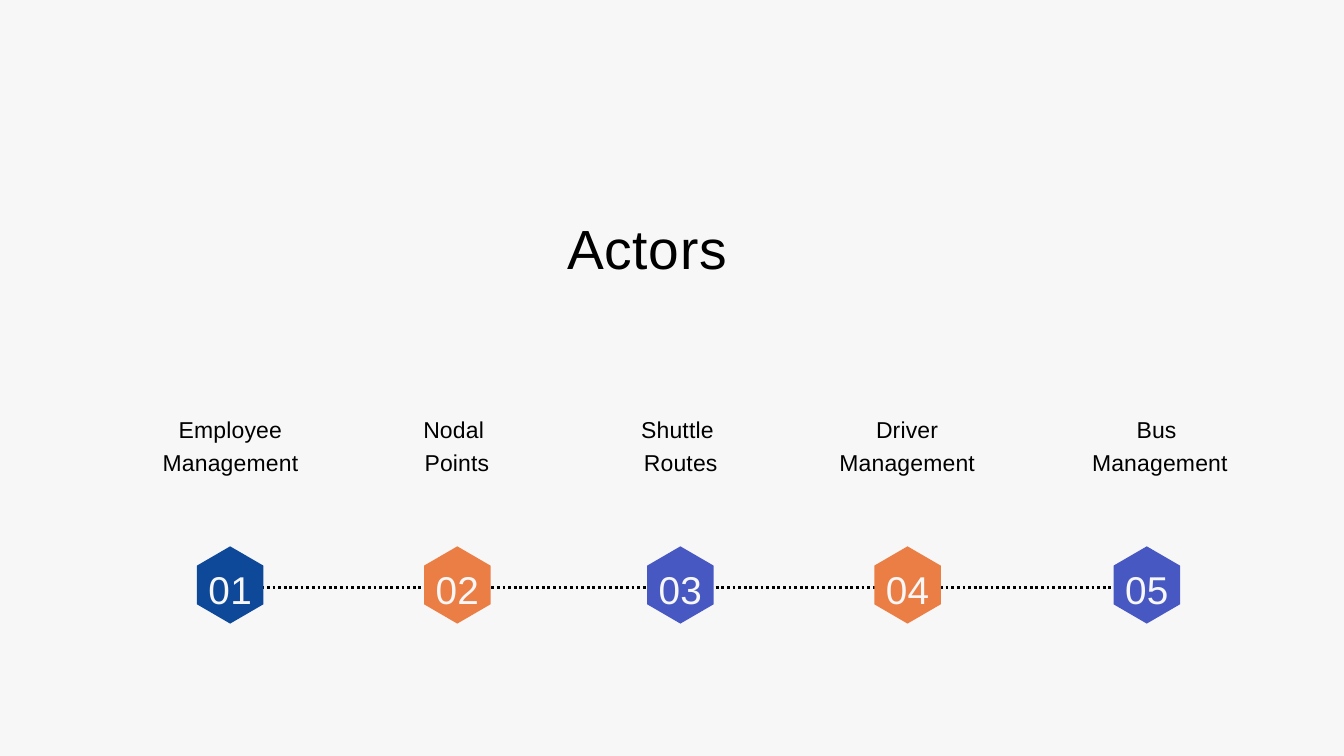
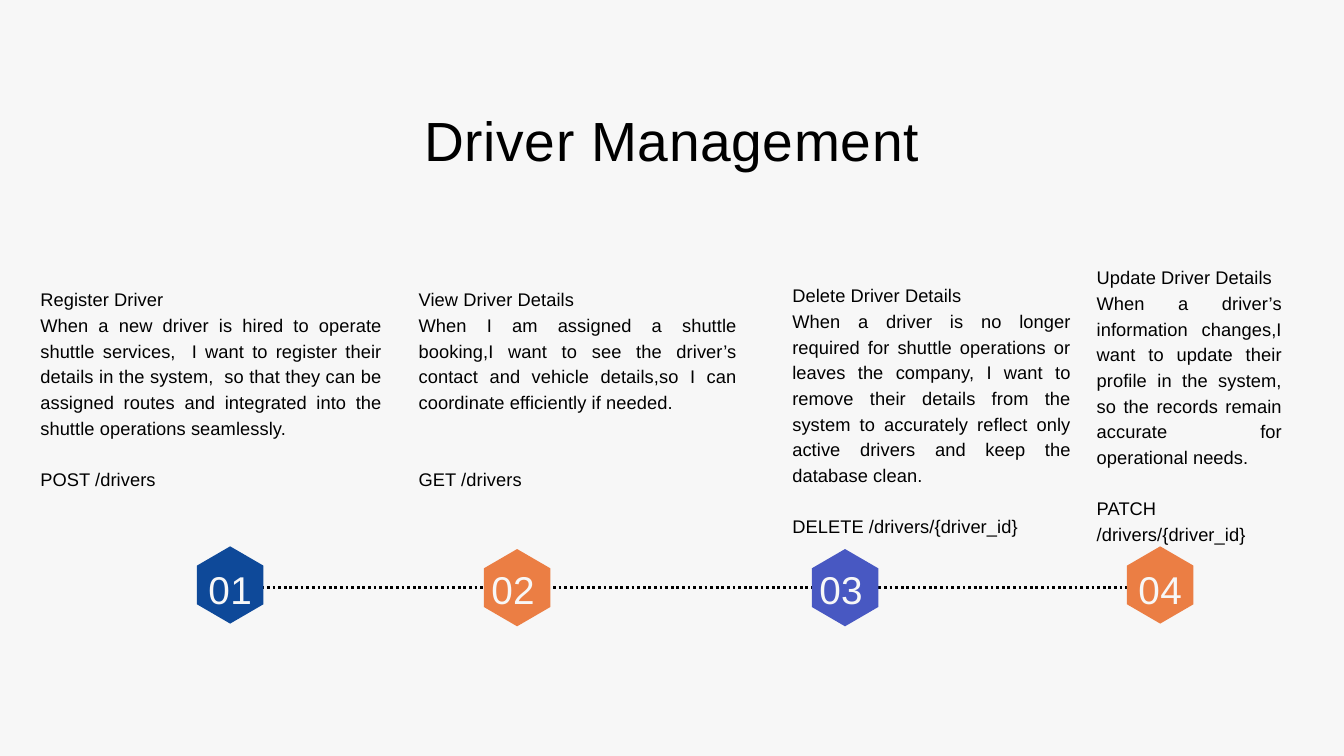
import pptx
import pptx.dml.color
import pptx.enum.dml
import pptx.enum.shapes
import pptx.enum.text
import pptx.oxml.ns
import pptx.util
from lxml import etree

Inches = pptx.util.Inches
Pt = pptx.util.Pt
ALIGN = pptx.enum.text.PP_ALIGN

BLACK, PAPER = "000000", "F7F7F7"
NAVY, ORANGE, INDIGO = "0E4999", "EB7E44", "4858C2"
HEXAGON_WIDTH, HEXAGON_HEIGHT, HEXAGON_TOP = 0.99, 1.15, 8.13
HEXAGON_POINTS = [(0.5, 0), (1, 0.25), (1, 0.75), (0.5, 1), (0, 0.75), (0, 0.25)]
LINE_Y = 8.74
NUMBER_TOP, NUMBER_WIDTH, NUMBER_HEIGHT = 8.3, 0.87, 0.79
NUMBER_INSET = (HEXAGON_WIDTH - NUMBER_WIDTH) / 2
LABEL_TOP, LABEL_WIDTH, LABEL_HEIGHT = 6.12, 2.76, 0.94
TITLE_WIDTH, TITLE_HEIGHT = 14.52, 1.1

FRAME_FORMAT = {
    "margin_left": 0, "margin_top": 0, "margin_right": 0, "margin_bottom": 0,
    "word_wrap": True,
    "auto_size": pptx.enum.text.MSO_AUTO_SIZE.SHAPE_TO_FIT_TEXT,
}
TEXT_STYLES = {
    "title": {"size": 59.1, "leading": 82.8, "tracking": 70, "color": BLACK, "align": ALIGN.CENTER},
    "label": {"size": 24.6, "leading": 34.5, "tracking": 20, "color": BLACK, "align": ALIGN.CENTER},
    "story": {"size": 19.6, "leading": 27.5, "tracking": 10, "color": BLACK, "align": ALIGN.JUSTIFY},
    "number": {"size": 41.5, "leading": 58.1, "tracking": 30, "color": PAPER, "align": ALIGN.CENTER},
}

ACTORS = [
    {"left": 2.93, "color": NAVY, "label": ["Employee Management"], "label_center": 3.43},
    {"left": 6.31, "color": ORANGE, "label": ["Nodal ", "Points"], "label_center": 6.8},
    {"left": 9.63, "color": INDIGO, "label": ["Shuttle ", "Routes"], "label_center": 10.13},
    {"left": 13.01, "color": ORANGE, "label": ["Driver Management"], "label_center": 13.5},
    {"left": 16.57, "color": INDIGO, "label": ["Bus ", "Management"], "label_center": 17.26},
]
DRIVER_STEPS = [
    {"left": 2.93, "color": NAVY, "box": (0.6, 4.24, 5.09, 3.37), "gap_lines": 1, "story": [
        "Register Driver",
        "When a new driver is hired to operate shuttle services,  I want to register their "
        "details in the system,  so that they can be assigned routes and integrated into "
        "the shuttle operations seamlessly.",
        "POST /drivers"]},
    {"left": 7.2, "color": ORANGE, "drop": 0.04, "number_inset": 0,
     "box": (6.23, 4.24, 4.74, 3.37), "gap_lines": 2, "story": [
        "View Driver Details",
        "When I am assigned a shuttle booking,I want to see the driver’s contact and "
        "vehicle details,so I can coordinate efficiently if needed.",
        "GET /drivers"]},
    {"left": 12.08, "color": INDIGO, "drop": 0.04, "number_inset": 0,
     "box": (11.79, 4.18, 4.15, 4.12), "gap_lines": 1, "story": [
        "Delete Driver Details",
        "When a driver is no longer required for shuttle operations or leaves the company, "
        "I want to remove their details from the system to accurately reflect only active "
        "drivers and keep the database clean.",
        "DELETE /drivers/{driver_id}"]},
    {"left": 16.77, "color": ORANGE, "box": (16.32, 3.91, 2.76, 4.12), "gap_lines": 1, "story": [
        "Update Driver Details",
        "When a driver’s information changes,I want to update their profile in the system, "
        "so the records remain accurate for operational needs.",
        "PATCH /drivers/{driver_id}"]},
]


def rgb(value):
    """Turn a hex string into a colour."""
    return pptx.dml.color.RGBColor.from_string(value)


def set_attributes(target, values):
    """Set every attribute named in a dict of format values."""
    for name, value in values.items():
        setattr(target, name, value)


def add_text(slide, box, lines, style_name):
    """Add a text box with one paragraph per line and return its paragraphs."""
    style = TEXT_STYLES[style_name]
    frame = slide.shapes.add_textbox(*map(Inches, box)).text_frame
    set_attributes(frame, FRAME_FORMAT)
    for index, line in enumerate(lines):
        paragraph = frame.add_paragraph() if index else frame.paragraphs[0]
        set_attributes(paragraph, {"alignment": style["align"], "line_spacing": Pt(style["leading"])})
        run = paragraph.add_run()
        run.text = line
        set_attributes(run.font, {"name": "Arial", "size": Pt(style["size"])})
        run.font.color.rgb = rgb(style["color"])
        run.font._element.set("spc", str(style["tracking"]))
    return frame.paragraphs


def add_hexagon(slide, left, top, color):
    """Draw an upright hexagon in the box that starts at left and top."""
    points = [(Inches(left + x * HEXAGON_WIDTH), Inches(top + y * HEXAGON_HEIGHT))
              for x, y in HEXAGON_POINTS]
    builder = slide.shapes.build_freeform(*points[0])
    builder.add_line_segments(points[1:], close=True)
    shape = builder.convert_to_shape()
    shape.shadow.inherit = False
    shape.fill.solid()
    shape.fill.fore_color.rgb = rgb(color)
    shape.line.fill.background()


def add_timeline(slide, steps):
    """Draw the dotted line with a numbered hexagon for each step."""
    start = steps[0]["left"] + HEXAGON_WIDTH - 0.28
    end = steps[-1]["left"] + NUMBER_INSET
    connector = slide.shapes.add_connector(
        pptx.enum.shapes.MSO_CONNECTOR.STRAIGHT, *map(Inches, (start, LINE_Y, end, LINE_Y)))
    connector.line.color.rgb = rgb(BLACK)
    set_attributes(connector.line, {
        "width": Pt(3), "dash_style": pptx.enum.dml.MSO_LINE.ROUND_DOT})
    etree.SubElement(connector._element.spPr, pptx.oxml.ns.qn("a:effectLst"))
    for number, step in enumerate(steps, 1):
        add_hexagon(slide, step["left"], HEXAGON_TOP + step.get("drop", 0), step["color"])
        left = step["left"] + step.get("number_inset", NUMBER_INSET)
        add_text(slide, (left, NUMBER_TOP, NUMBER_WIDTH, NUMBER_HEIGHT), [f"{number:02}"], "number")


def add_timeline_slide(presentation, title, title_left, title_top, steps):
    """Add a slide with background, title and timeline."""
    slide = presentation.slides.add_slide(presentation.slide_layouts[6])
    slide.background.fill.solid()
    slide.background.fill.fore_color.rgb = rgb(PAPER)
    add_timeline(slide, steps)
    add_text(slide, (title_left, title_top, TITLE_WIDTH, TITLE_HEIGHT), [title], "title")
    return slide


def add_labels(slide, steps):
    """Place a short centred label above each hexagon."""
    for step in steps:
        left = step["label_center"] - LABEL_WIDTH / 2
        add_text(slide, (left, LABEL_TOP, LABEL_WIDTH, LABEL_HEIGHT), step["label"], "label")


def add_stories(slide, steps):
    """Place each user story with its endpoint set apart below."""
    for step in steps:
        endpoint = add_text(slide, step["box"], step["story"], "story")[-1]
        endpoint.space_before = Pt(step["gap_lines"] * TEXT_STYLES["story"]["leading"])


def main():
    """Build both slides and save the presentation."""
    presentation = pptx.Presentation()
    set_attributes(presentation, {"slide_width": Inches(20), "slide_height": Inches(11.25)})
    add_labels(add_timeline_slide(presentation, "Actors", 2.37, 3.03, ACTORS), ACTORS)
    add_stories(add_timeline_slide(presentation, "Driver Management", 2.74, 1.42, DRIVER_STEPS),
                DRIVER_STEPS)
    presentation.save("out.pptx")


if __name__ == "__main__":
    main()
